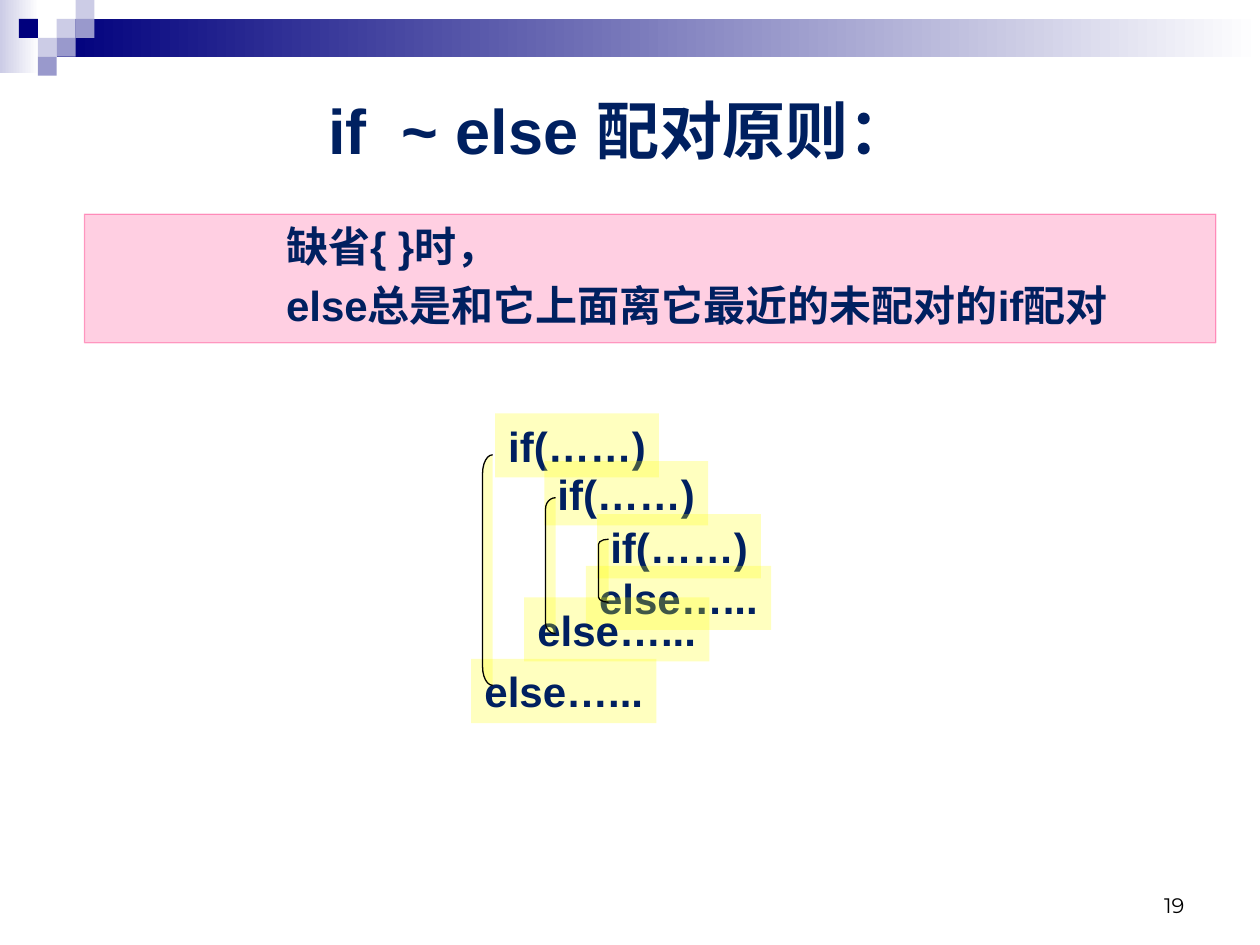
from dataclasses import dataclass

from lxml.etree import SubElement
from pptx import Presentation
from pptx.dml.color import RGBColor
from pptx.enum.shapes import MSO_SHAPE
from pptx.enum.text import MSO_ANCHOR, MSO_AUTO_SIZE, PP_ALIGN
from pptx.oxml.ns import qn
from pptx.util import Emu, Inches, Pt

NAVY, DARK, LILAC, VIOLET = "002060", "00007D", "CCCCE6", "9999CC"
WHITE, BLACK, PINK, YELLOW = "FFFFFF", "000000", "FF0066", "FFFF00"
LATIN, CJK = "Arial", "Noto Sans CJK SC"
CELL = 0.15  # side of one square of the header mosaic, inches


@dataclass
class Square:
    col: int
    row: int
    color: str


@dataclass
class Label:
    text: str
    left: float
    top: float
    width: float


@dataclass
class Bracket:
    left: float
    top: float
    height: float


SQUARES = [Square(3, 1, LILAC), Square(4, 0, LILAC), Square(4, 1, VIOLET),
           Square(2, 2, LILAC), Square(1, 1, DARK), Square(3, 2, VIOLET),
           Square(2, 3, VIOLET)]
IF, ELSE = "if(……)", "else…..."
LABELS = [Label(IF, 3.93, 3.28, 1.3), Label(IF, 4.32, 3.66, 1.3),
          Label(IF, 4.74, 4.08, 1.3), Label(ELSE, 4.65, 4.49, 1.47),
          Label(ELSE, 4.16, 4.74, 1.47), Label(ELSE, 3.74, 5.23, 1.47)]
BRACKETS = [Bracket(4.75, 4.28, 0.5), Bracket(4.33, 3.95, 1.08),
            Bracket(3.83, 3.61, 1.83)]


def rgb(color: str) -> RGBColor:
    return RGBColor.from_string(color)


def place(sp, left: float, top: float, width: float, height: float) -> None:
    sp.left, sp.top = Inches(left), Inches(top)
    sp.width, sp.height = Inches(width), Inches(height)


def paint(fmt, color: str, alpha: int = 100) -> None:
    """Solid colour for a fill or a line's fill, with opacity in percent."""
    fmt.solid()
    fmt.fore_color.rgb = rgb(color)
    if alpha < 100:
        clr = fmt._xPr.find(qn("a:solidFill"))[0]
        SubElement(clr, qn("a:alpha")).set("val", str(alpha * 1000))


def add_shape(shapes, kind, left: float, top: float, width: float,
              height: float, color: str, alpha: int = 100):
    sp = shapes.add_shape(kind, Inches(left), Inches(top),
                          Inches(width), Inches(height))
    sp.shadow.inherit = False
    paint(sp.fill, color, alpha)
    sp.line.fill.background()
    return sp


def add_fade(shapes, left: float, top: float, width: float, height: float,
             color: str) -> None:
    sp = add_shape(shapes, MSO_SHAPE.RECTANGLE, left, top, width, height, color)
    sp.fill.gradient()
    sp.fill.gradient_angle = 0
    for stop, tone in zip(sp.fill.gradient_stops, (color, WHITE)):
        stop.color.rgb = rgb(tone)


def add_text(p, text: str, size: int = 24, color: str = NAVY,
             bold: bool = True, latin: str = LATIN, ea: str = CJK) -> None:
    r = p.add_run()
    r.text = text
    r.font.size, r.font.bold = Pt(size), bold
    r.font.color.rgb = rgb(color)
    r.font.name = latin
    SubElement(r._r.get_or_add_rPr(), qn("a:ea")).set("typeface", ea)


def add_label(shapes, label: Label) -> None:
    sp = add_shape(shapes, MSO_SHAPE.RECTANGLE, label.left, label.top,
                   label.width, 0.51, YELLOW, 25)
    tf = sp.text_frame
    tf.word_wrap = False
    tf.auto_size = MSO_AUTO_SIZE.SHAPE_TO_FIT_TEXT
    tf.vertical_anchor = MSO_ANCHOR.MIDDLE
    tf.paragraphs[0].alignment = PP_ALIGN.CENTER
    add_text(tf.paragraphs[0], label.text)


def add_bracket(shapes, b: Bracket) -> None:
    sp = add_shape(shapes, MSO_SHAPE.LEFT_BRACKET, b.left, b.top, 0.08,
                   b.height, YELLOW, 25)
    sp.adjustments[0] = b.height  # the curve grows with the bracket
    paint(sp.line.fill, BLACK)
    sp.line.width = Pt(0.75)


def add_rule(p, text: str) -> None:
    p.level = 3
    pPr = p._p.get_or_add_pPr()
    pPr.set("marL", str(Inches(1.75)))
    pPr.set("indent", str(Emu(-Inches(0.25))))
    SubElement(pPr, qn("a:buNone"))
    add_text(p, text)


def main() -> None:
    prs = Presentation()
    prs.slide_width, prs.slide_height = Inches(10), Inches(7.5)
    s = prs.slides.add_slide(prs.slide_layouts[1])
    title, body = s.shapes.title, s.placeholders[1]

    # Header mosaic
    header = s.shapes.add_group_shape().shapes
    add_fade(header, 0, 0, 0.31, 0.58, LILAC)
    add_fade(header, 3 * CELL, CELL, 10 - 3 * CELL, 2 * CELL, DARK)
    for q in SQUARES:
        add_shape(header, MSO_SHAPE.RECTANGLE, q.col * CELL, q.row * CELL,
                  CELL, CELL, q.color)

    # Title
    place(title, 0.67, 0.68, 8.5, 0.7)
    tf = title.text_frame
    tf.vertical_anchor = MSO_ANCHOR.MIDDLE
    tf.paragraphs[0].alignment = PP_ALIGN.CENTER
    add_text(tf.paragraphs[0], "if  ~ else ", size=36)
    add_text(tf.paragraphs[0], "配对原则：", size=36, latin=CJK)

    # Matching rule
    place(body, 0.67, 1.7, 8.98, 1.02)
    paint(body.fill, PINK, 19)
    paint(body.line.fill, PINK, 32)
    body.line.width = Pt(0.75)
    tf = body.text_frame
    tf.auto_size = MSO_AUTO_SIZE.TEXT_TO_FIT_SHAPE
    add_rule(tf.paragraphs[0], "缺省{ }时，")
    add_rule(tf.add_paragraph(), "else总是和它上面离它最近的未配对的if配对")
    tf.paragraphs[0].space_before = Pt(0)

    # Nested if / else pairs
    pairs = s.shapes.add_group_shape().shapes
    for label in LABELS:
        add_label(pairs, label)
    for bracket in BRACKETS:
        add_bracket(pairs, bracket)

    # Page number
    tb = s.shapes.add_textbox(Inches(7.17), Inches(6.83), Inches(2.33), Inches(0.5))
    tf = tb.text_frame
    tf.word_wrap = True
    tf.vertical_anchor = MSO_ANCHOR.BOTTOM
    tf.paragraphs[0].alignment = PP_ALIGN.RIGHT
    add_text(tf.paragraphs[0], "19", size=12, color=BLACK, bold=False,
             latin="Montserrat")

    prs.save("out.pptx")


if __name__ == "__main__":
    main()
